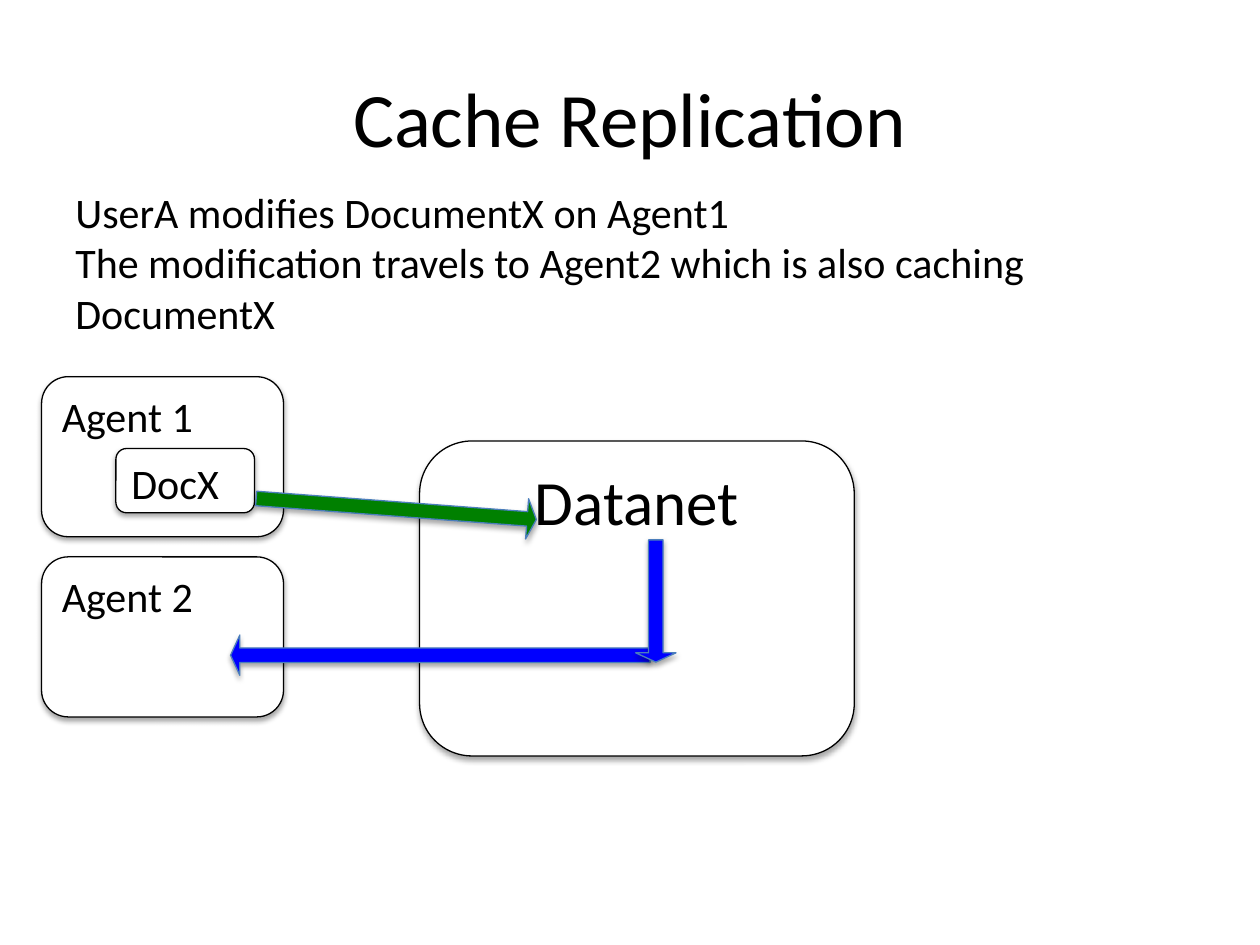
from lxml.etree import SubElement
from pptx import Presentation
from pptx.dml.color import RGBColor
from pptx.enum.shapes import MSO_SHAPE
from pptx.enum.text import MSO_ANCHOR, PP_ALIGN
from pptx.oxml.ns import qn
from pptx.util import Inches, Pt

BLACK = RGBColor(0x00, 0x00, 0x00)
WHITE = RGBColor(0xFF, 0xFF, 0xFF)
GREEN = RGBColor(0x00, 0x80, 0x00)
BLUE = RGBColor(0x00, 0x00, 0xFF)
ARROW_OUTLINE = RGBColor(0x4B, 0x7E, 0xBC)
ARROW_THICKNESS = 0.32


def write_text(shape, lines, size, alignment=PP_ALIGN.LEFT, anchor=MSO_ANCHOR.TOP):
    text_frame = shape.text_frame
    text_frame.word_wrap = True
    text_frame.vertical_anchor = anchor
    text_frame.text = "\n".join(lines)
    for paragraph in text_frame.paragraphs:
        paragraph.alignment = alignment
        for run in paragraph.runs:
            run.font.name = "Calibri"
            run.font.size = Pt(size)
            run.font.color.rgb = BLACK


def add_text(slide, left, top, width, height, lines, size, **layout):
    text_box = slide.shapes.add_textbox(
        Inches(left), Inches(top), Inches(width), Inches(height)
    )
    write_text(text_box, lines, size, **layout)


def add_soft_shadow(shape):
    shape.shadow.inherit = False
    effects = shape.element.spPr.find(qn("a:effectLst"))
    shadow = SubElement(
        effects, qn("a:outerShdw"), blurRad=str(Pt(3.1)), dist=str(Pt(1.8)),
        dir="5400000", rotWithShape="0",
    )
    color = SubElement(shadow, qn("a:srgbClr"), val=str(BLACK))
    SubElement(color, qn("a:alpha"), val="35000")


def add_filled_shape(slide, kind, left, top, width, height, fill, outline):
    shape = slide.shapes.add_shape(
        kind, Inches(left), Inches(top), Inches(width), Inches(height)
    )
    shape.fill.solid()
    shape.fill.fore_color.rgb = fill
    shape.line.color.rgb = outline
    shape.line.width = Pt(0.75)
    add_soft_shadow(shape)
    return shape


def add_node(slide, left, top, width, height, label, size=24, alignment=PP_ALIGN.LEFT):
    node = add_filled_shape(
        slide, MSO_SHAPE.ROUNDED_RECTANGLE, left, top, width, height, WHITE, BLACK
    )
    write_text(node, [label], size, alignment)


def add_arrow(slide, left, top, length, rotation, fill):
    arrow = add_filled_shape(
        slide, MSO_SHAPE.RIGHT_ARROW, left, top, length, ARROW_THICKNESS,
        fill, ARROW_OUTLINE,
    )
    arrow.adjustments[0] = 0.36
    arrow.adjustments[1] = 0.23
    arrow.rotation = rotation


def add_heading(slide, left, top, width):
    add_text(
        slide, left, top, width, 1.25, ["Cache Replication"], 44,
        alignment=PP_ALIGN.CENTER, anchor=MSO_ANCHOR.MIDDLE,
    )
    lines = [
        "UserA modifies DocumentX on Agent1",
        "The modification travels to Agent2 which is also caching DocumentX",
    ]
    add_text(slide, left, top + 1.13, width + 0.17, 1.31, lines, 24)


def add_agents(slide, left, top, width, height):
    gap = 0.16
    agent_height = (height - gap) / 2
    for index, label in enumerate(["Agent 1", "Agent 2"]):
        agent_top = top + index * (agent_height + gap)
        add_node(slide, left, agent_top, width, agent_height, label)
    add_node(slide, left + 0.59, top + 0.57, 1.1, 0.51, "DocX")


def add_replication_path(slide, left, top):
    add_arrow(slide, left + 0.2, top, 2.23, 4.3, GREEN)
    add_arrow(slide, left, top + 1.16, 3.33, 180, BLUE)
    add_arrow(slide, left + 2.89, top + 0.73, 0.97, 90, BLUE)


def main():
    presentation = Presentation()
    presentation.slide_width = Inches(10)
    presentation.slide_height = Inches(7.5)
    slide = presentation.slides.add_slide(presentation.slide_layouts[6])
    add_node(slide, 3.33, 3.5, 3.45, 2.5, "Datanet", 36, PP_ALIGN.CENTER)
    add_agents(slide, 0.33, 2.99, 1.92, 2.7)
    add_replication_path(slide, 1.83, 3.88)
    add_heading(slide, 0.5, 0.3, 9)
    presentation.save("out.pptx")


if __name__ == "__main__":
    main()
